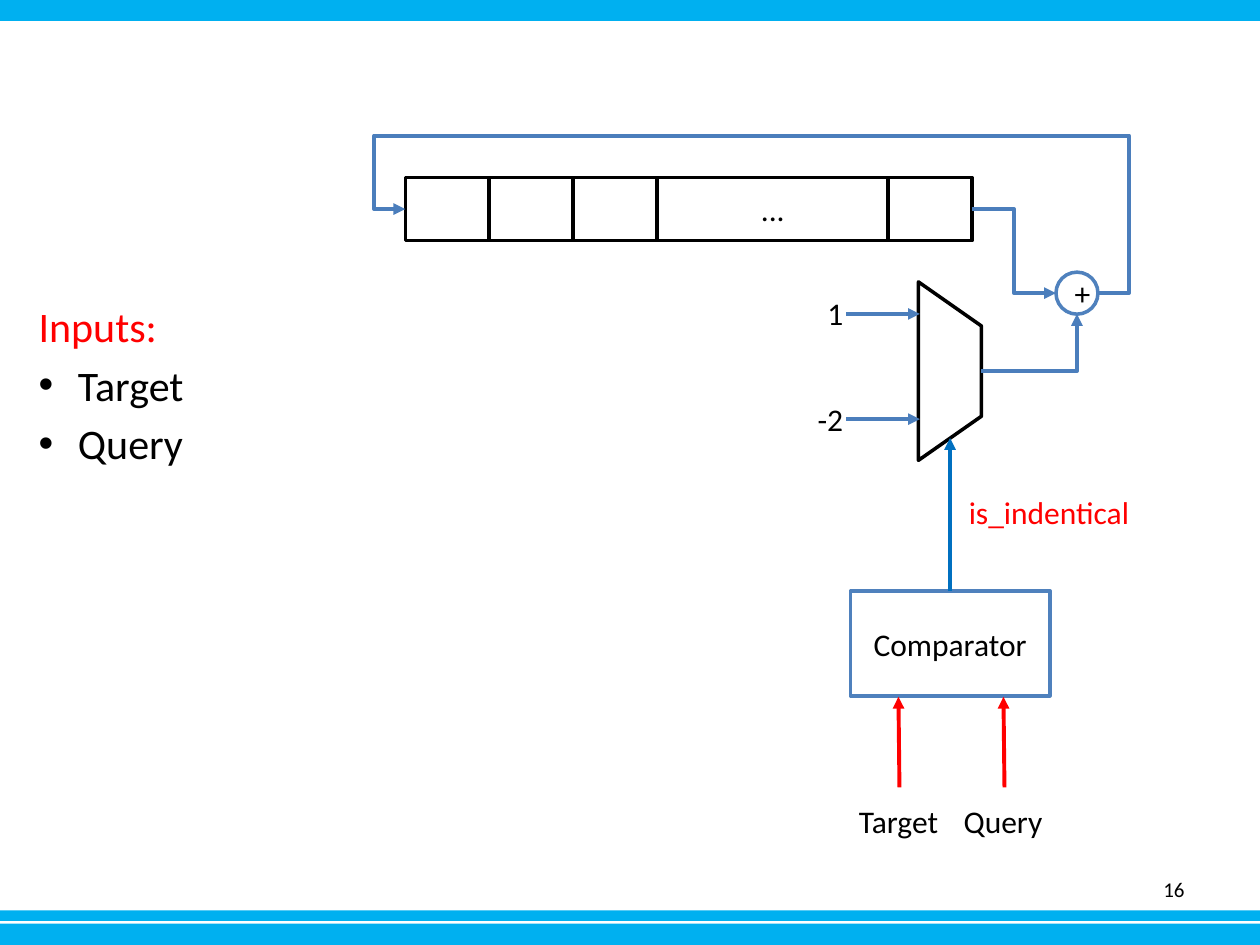
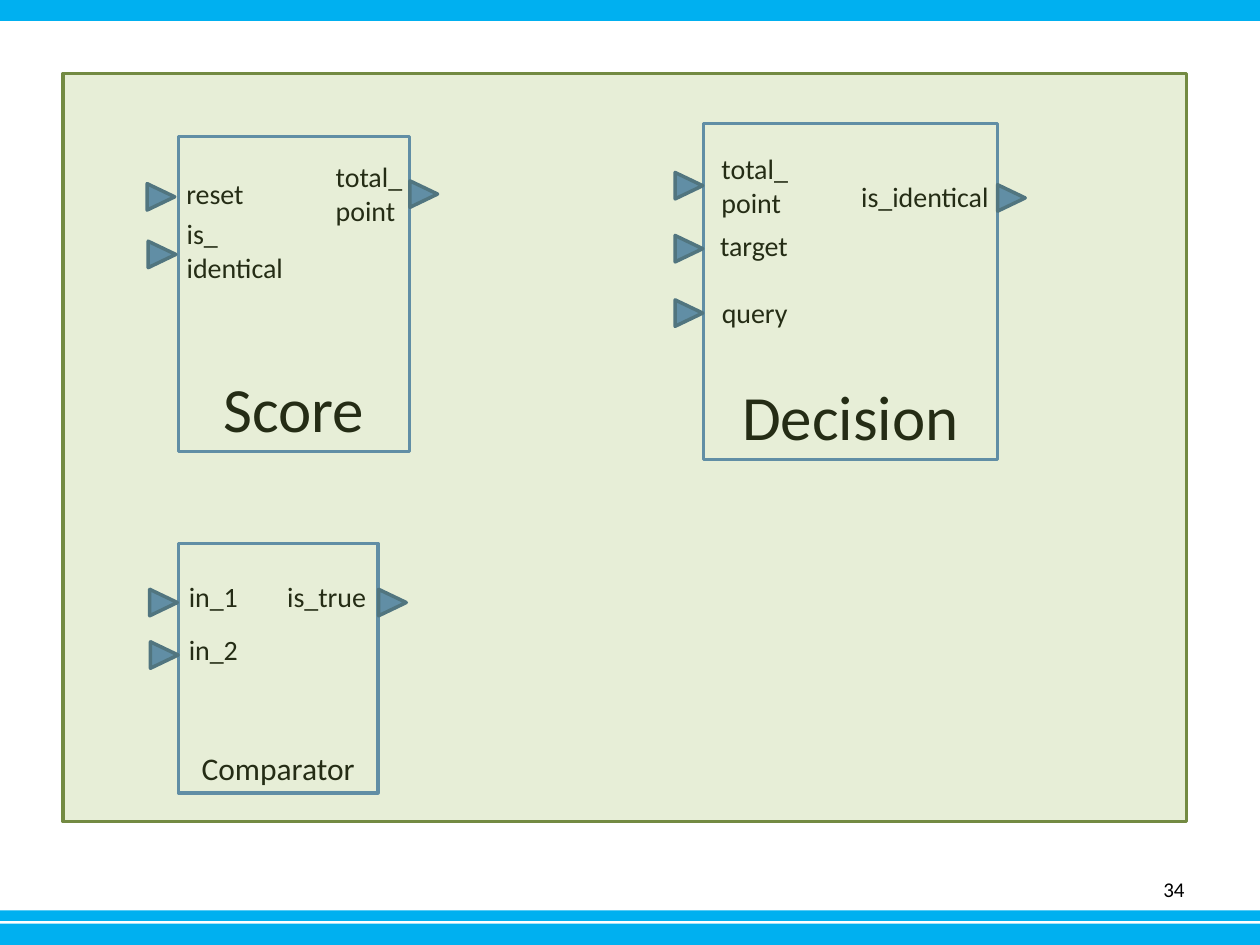
from lxml import etree
from pptx import Presentation
from pptx.dml.color import RGBColor
from pptx.enum.shapes import MSO_CONNECTOR, MSO_SHAPE
from pptx.enum.text import MSO_ANCHOR, MSO_AUTO_SIZE, PP_ALIGN
from pptx.oxml.ns import qn
from pptx.util import Pt

RECTANGLE, ELLIPSE = MSO_SHAPE.RECTANGLE, MSO_SHAPE.OVAL
TRIANGLE, TRAPEZOID = MSO_SHAPE.ISOSCELES_TRIANGLE, MSO_SHAPE.TRAPEZOID
STRAIGHT, ELBOW = MSO_CONNECTOR.STRAIGHT, MSO_CONNECTOR.ELBOW
CENTER, RIGHT = PP_ALIGN.CENTER, PP_ALIGN.RIGHT
TOP, MIDDLE, BOTTOM = MSO_ANCHOR.TOP, MSO_ANCHOR.MIDDLE, MSO_ANCHOR.BOTTOM

FONT = "Calibri"
BLACK = RGBColor(0x00, 0x00, 0x00)
WHITE = RGBColor(0xFF, 0xFF, 0xFF)
RED = RGBColor(0xFF, 0x00, 0x00)
BAND_BLUE = RGBColor(0x00, 0xB0, 0xF0)
BLOCK_BLUE = RGBColor(0x4F, 0x81, 0xBD)
PORT_EDGE = RGBColor(0x3A, 0x5F, 0x8C)
WIRE_BLUE = RGBColor(0x4B, 0x7E, 0xBC)
SELECT_BLUE = RGBColor(0x00, 0x70, 0xC0)
GREEN = RGBColor(0x9B, 0xBB, 0x59)
GREEN_EDGE = RGBColor(0x73, 0x8A, 0x42)


def add_block(page, kind, bounds, fill=WHITE, edge=BLACK, text="", size=18, anchor=MIDDLE):
    shape = page.shapes.add_shape(kind, *map(Pt, bounds))
    shape.shadow.inherit = False
    shape.fill.solid()
    shape.fill.fore_color.rgb = fill
    if edge is None:
        shape.line.fill.background()
    else:
        shape.line.color.rgb = edge
        shape.line.width = Pt(2)
    if text:
        frame = shape.text_frame
        frame.text = text
        frame.vertical_anchor = anchor
        paragraph = frame.paragraphs[0]
        paragraph.alignment = CENTER
        for name, value in {"name": FONT, "size": Pt(size)}.items():
            setattr(paragraph.font, name, value)
        paragraph.font.color.rgb = BLACK
    return shape


def add_label(page, text, left, top, width, size=18, color=BLACK):
    """Add a text box whose height follows from its number of lines."""
    lines = text.split("\n")
    height = 1.2 * size * len(lines) + 7.2
    box = page.shapes.add_textbox(Pt(left), Pt(top), Pt(width), Pt(height))
    frame = box.text_frame
    frame.text = text
    settings = {"word_wrap": False, "auto_size": MSO_AUTO_SIZE.SHAPE_TO_FIT_TEXT,
                "vertical_anchor": TOP}
    for name, value in settings.items():
        setattr(frame, name, value)
    for paragraph in frame.paragraphs:
        for name, value in {"name": FONT, "size": Pt(size)}.items():
            setattr(paragraph.font, name, value)
        paragraph.font.color.rgb = color
    return box


deck = Presentation()
deck.slide_width, deck.slide_height = Pt(720), Pt(540)

# Bands and page numbers
BANDS = [(527.8, 12.2), (520.2, 6), (0, 12)]
for number in ("16", "34"):
    page = deck.slides.add_slide(deck.slide_layouts[6])
    for top, height in BANDS:
        add_block(page, RECTANGLE, (0, top, 720, height), BAND_BLUE, None)
    number_box = add_label(page, number, 516, 493.5, 168, 12)
    number_box.text_frame.auto_size = MSO_AUTO_SIZE.NONE
    number_box.text_frame.word_wrap = True
    number_box.text_frame.vertical_anchor = MIDDLE
    number_box.height = Pt(28.8)
    number_box.text_frame.paragraphs[0].alignment = RIGHT
circuit_page, modules_page = deck.slides

# Circuit: list of inputs
inputs_box = circuit_page.shapes.add_textbox(Pt(-21), Pt(168), Pt(166), Pt(258.5))
inputs_frame = inputs_box.text_frame
inputs_frame.word_wrap = True
inputs_frame.text = "Inputs:\nTarget\nQuery"
for index, paragraph in enumerate(inputs_frame.paragraphs):
    properties = paragraph._p.get_or_add_pPr()
    if index == 0:
        properties.set("marL", str(Pt(36)))
    else:
        properties.set("marL", str(Pt(58.5)))
        properties.set("indent", str(Pt(-22.5)))
        paragraph.space_before = Pt(4.8)
        etree.SubElement(properties, qn("a:buFont"), typeface="Arial")
        etree.SubElement(properties, qn("a:buChar"), char="•")
    for name, value in {"name": FONT, "size": Pt(24)}.items():
        setattr(paragraph.font, name, value)
    paragraph.font.color.rgb = BLACK if index else RED

# Circuit: shift register, multiplexer, comparator and adder
cell_left = 231.6
for width, text in [(48, ""), (48, ""), (48, ""), (132, "..."), (48, "")]:
    add_block(circuit_page, RECTANGLE, (cell_left, 101.5, width, 36), text=text)
    cell_left += width

multiplexer = add_block(circuit_page, TRAPEZOID, (491.8, 194.1, 102, 36))
multiplexer.rotation = 90
multiplexer.adjustments[0] = 0.7
add_block(circuit_page, RECTANGLE, (486, 337.7, 114, 60), edge=BLOCK_BLUE, text="Comparator")
add_block(circuit_page, ELLIPSE, (603.4, 155.5, 24, 24), edge=BLOCK_BLUE, text="+")

# Circuit: wires as start, end, colour, preset and bend adjustments
WIRES = [
    ((483.7, 179.4), (525.6, 179.4), WIRE_BLUE, None, []),
    ((483.7, 239.5), (525.6, 239.5), WIRE_BLUE, None, []),
    ((542.9, 337.7), (542.9, 250.3), SELECT_BLUE, None, []),
    ((514, 449.9), (513.4, 398.2), RED, None, []),
    ((574, 449.9), (573.4, 398.2), RED, None, []),
    ((560.8, 212.1), (615.4, 179.5), WIRE_BLUE, "bentConnector2", []),
    ((627.4, 167.5), (231.6, 119.5), WIRE_BLUE, "bentConnector5", [-4500, 187500, 104500]),
    ((555.6, 119.5), (603.4, 167.5), WIRE_BLUE, "bentConnector3", [50000]),
]
for start, end, color, preset, bends in WIRES:
    wire = circuit_page.shapes.add_connector(
        ELBOW if preset else STRAIGHT, *map(Pt, start + end))
    wire.line.color.rgb = color
    wire.line.width = Pt(2.25)
    properties = wire._element.spPr
    etree.SubElement(properties.find(qn("a:ln")), qn("a:tailEnd"), type="triangle")
    etree.SubElement(properties, qn("a:effectLst"))
    if preset:
        geometry = properties.find(qn("a:prstGeom"))
        geometry.set("prst", preset)
        guides = geometry.find(qn("a:avLst"))
        for index, bend in enumerate(bends, 1):
            etree.SubElement(guides, qn("a:gd"), name=f"adj{index}", fmla=f"val {bend}")

for text, left, top, width, color in [
    ("1", 465.8, 164.4, 23.8, BLACK),
    ("-2", 460.1, 224.8, 29.5, BLACK),
    ("Target", 483.8, 454.6, 60.5, BLACK),
    ("Query", 543.6, 454.6, 59.8, BLACK),
    ("is_indentical", 546.5, 278, 107.3, RED),
]:
    add_label(circuit_page, text, left, top, width, color=color)

# Modules: name, size, bounds, port corners, and labels as text, left, top, width
MODULES = [
    ("Score", 36, (102, 78, 132, 180),
     [(84.4, 104.6), (85, 137.5), (234.6, 103)],
     [("reset", 99.4, 97.4, 47.5), ("is_\nidentical", 99.6, 120.4, 69.8),
      ("total_\npoint", 184.8, 87.6, 53.3)]),
    ("Decision", 36, (402, 70.5, 168, 192),
     [(386.1, 98.2), (386.1, 134.2), (386.1, 171), (570.4, 105.2)],
     [("total_\npoint", 405.2, 83, 53.3), ("target", 404.4, 126.8, 54),
      ("query", 405.4, 165.6, 52.6), ("is_identical", 485, 99, 88.6)]),
    ("Comparator", 18, (102, 310.5, 114, 142.6),
     [(85.9, 336.4), (86.3, 366.4), (216.7, 336.4)],
     [("in_1", 100.8, 327.6, 43.2), ("in_2", 100.8, 357.8, 43.2),
      ("is_true", 157, 327.6, 60.5)]),
]
for name, size, bounds, ports, labels in MODULES:
    add_block(modules_page, RECTANGLE, bounds, edge=BLOCK_BLUE, text=name, size=size, anchor=BOTTOM)
    for left, top in ports:
        port = add_block(modules_page, TRIANGLE, (left, top, 15.1, 15.8), BLOCK_BLUE, PORT_EDGE)
        port.rotation = 90
    for label in labels:
        add_label(modules_page, *label, size=16)

# Modules: translucent cover over all blocks
cover = add_block(modules_page, RECTANGLE, (36, 42, 642, 427.5), GREEN, GREEN_EDGE)
cover_color = cover._element.spPr.find(qn("a:solidFill")).find(qn("a:srgbClr"))
etree.SubElement(cover_color, qn("a:alpha"), val="24000")

deck.save("out.pptx")
